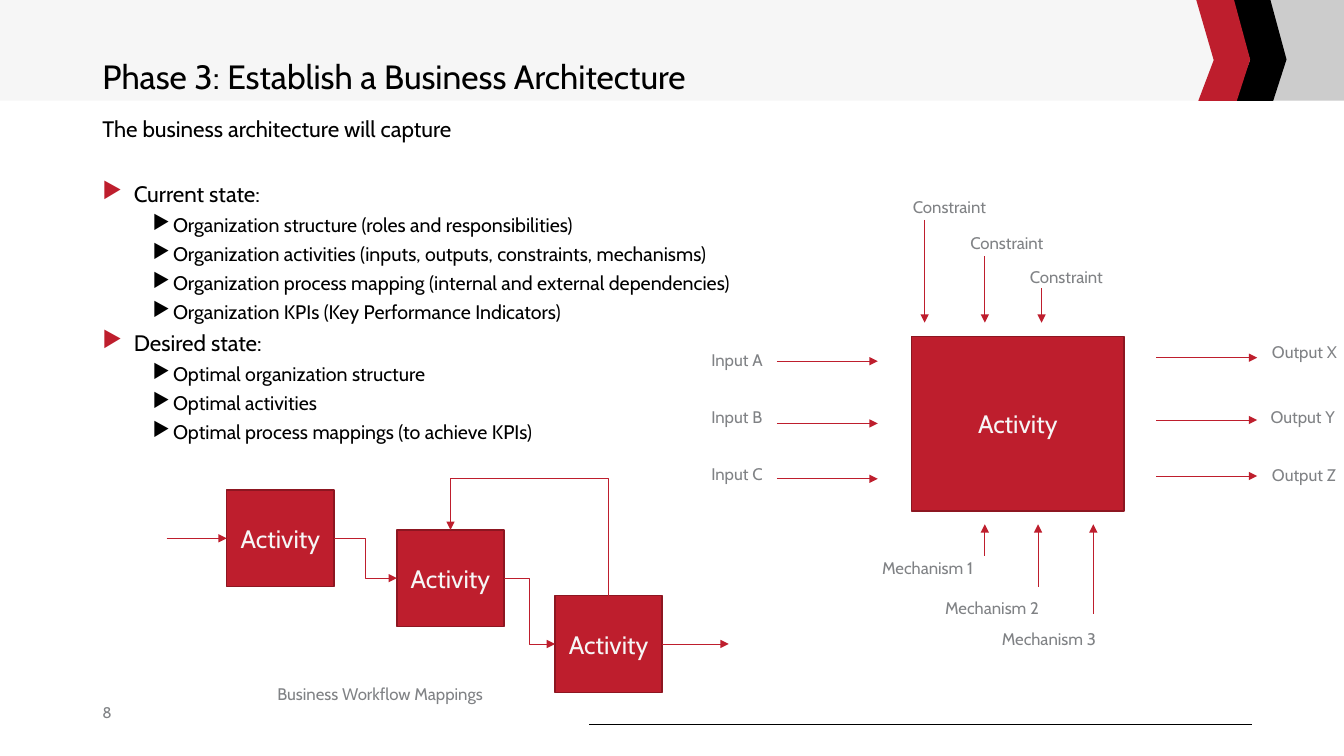
from dataclasses import dataclass

from lxml import etree
from pptx import Presentation
from pptx.dml.color import RGBColor
from pptx.enum.shapes import MSO_CONNECTOR, MSO_SHAPE
from pptx.enum.text import MSO_ANCHOR, MSO_AUTO_SIZE, PP_ALIGN
from pptx.oxml.ns import qn
from pptx.util import Pt

RECTANGLE = MSO_SHAPE.RECTANGLE
STRAIGHT, ELBOW = MSO_CONNECTOR.STRAIGHT, MSO_CONNECTOR.ELBOW
TOP, MIDDLE, BOTTOM = MSO_ANCHOR.TOP, MSO_ANCHOR.MIDDLE, MSO_ANCHOR.BOTTOM
LEFT, CENTER = PP_ALIGN.LEFT, PP_ALIGN.CENTER
NO_AUTOFIT = MSO_AUTO_SIZE.NONE


@dataclass(frozen=True)
class Theme:
    font: str = "Cabin"
    red: str = "BE1E2D"
    dark_red: str = "8D1621"
    black: str = "000000"
    pale: str = "F6F6F6"
    silver: str = "CCCCCC"
    grey: str = "808285"
    title: int = 24
    activity: int = 18
    body: int = 16
    detail: int = 14
    label: int = 12
    number: int = 11


THEME = Theme()

CAPTURED = [
    ("Current state:", [
        "Organization structure (roles and responsibilities)",
        "Organization activities (inputs, outputs, constraints, mechanisms)",
        "Organization process mapping (internal and external dependencies)",
        "Organization KPIs (Key Performance Indicators)",
    ]),
    ("Desired state:", [
        "Optimal organization structure",
        "Optimal activities",
        "Optimal process mappings (to achieve KPIs)",
    ]),
]

# Label, label left, label top, then arrow x and its starting y
CONSTRAINTS = [
    ("Constraint", 645, 137, 660.5, 157),
    ("Constraint", 686, 163, 703.5, 183),
    ("Constraint", 728.5, 187, 744, 206),
]
MECHANISMS = [
    ("Mechanism 1", 623, 395, 703.5, 397),
    ("Mechanism 2", 668, 423.5, 741.5, 419),
    ("Mechanism 3", 708.5, 445.5, 781, 438.5),
]
# Label, label left, label top, then arrow y
INPUTS = [("Input A", 501, 246, 258), ("Input B", 501, 287, 302.5), ("Input C", 501, 328, 342)]
OUTPUTS = [("Output X", 901.5, 240.5, 255.5), ("Output Y", 900.5, 287, 300),
           ("Output Z", 901.5, 328.5, 340)]

STEP_WIDTH, STEP_HEIGHT = 76.5, 69
STEPS = [(162, 350), (283.5, 378.5), (396.5, 425.5)]


def points(*lengths):
    return [Pt(length) for length in lengths]


def style(paragraph, size, color):
    font = paragraph.font
    font.name, font.size = THEME.font, Pt(size)
    font.color.rgb = RGBColor.from_string(color)


def paint(shape, fill, outline=None):
    shape.shadow.inherit = False
    shape.fill.solid()
    shape.fill.fore_color.rgb = RGBColor.from_string(fill)
    if outline:
        shape.line.color.rgb = RGBColor.from_string(outline)
        shape.line.width = Pt(1)
    else:
        shape.line.fill.background()


def add_block(slide, left, top, width, height, fill, outline=None):
    block = slide.shapes.add_shape(RECTANGLE, *points(left, top, width, height))
    paint(block, fill, outline)
    return block


def add_activity(slide, left, top, width, height):
    activity = add_block(slide, left, top, width, height, THEME.red, THEME.dark_red)
    frame = activity.text_frame
    frame.vertical_anchor = MIDDLE
    frame.text = "Activity"
    frame.paragraphs[0].alignment = CENTER
    style(frame.paragraphs[0], THEME.activity, THEME.pale)
    return activity


def add_text(slide, text, left, top, width, height, size, color, anchor=TOP):
    frame = slide.shapes.add_textbox(*points(left, top, width, height)).text_frame
    frame.word_wrap = True
    frame.margin_right = 0
    frame.vertical_anchor = anchor
    frame.text = text
    style(frame.paragraphs[0], size, color)
    return frame


def add_label(slide, text, left, top, width=100):
    add_text(slide, text, left, top, width, 22, THEME.label, THEME.grey)


def add_line(slide, start, end, kind=STRAIGHT, color=THEME.red, width=0.5, arrow=True):
    line = slide.shapes.add_connector(kind, *points(*start, *end))
    line.line.color.rgb = RGBColor.from_string(color)
    line.line.width = Pt(width)
    if arrow:
        etree.SubElement(line.line._get_or_add_ln(), qn("a:tailEnd"), type="triangle")
    etree.SubElement(line.element.spPr, qn("a:effectLst"))
    return line


def add_feedback(slide, start, end, crest):
    """Elbow arrow that rises from start to the crest and drops onto end."""
    (x1, y1), (x2, y2) = start, end
    rise, run = y1 - y2, x1 - x2
    mid_x, mid_y = (x1 + x2) / 2, (y1 + y2) / 2
    # The elbow is laid out sideways, then turned a quarter to the left
    feedback = add_line(slide, (mid_x - rise / 2, mid_y + run / 2),
                        (mid_x + rise / 2, mid_y - run / 2), ELBOW)
    properties = feedback.element.spPr
    properties.find(qn("a:xfrm")).set("rot", str(270 * 60000))
    adjustments = properties.find(qn("a:prstGeom")).get_or_add_avLst()
    bend = round((y1 - crest) / rise * 100000)
    etree.SubElement(adjustments, qn("a:gd"), name="adj1", fmla=f"val {bend}")


def add_bullet(frame, text, size, margin, hanging, color):
    paragraph = frame.add_paragraph()
    paragraph.text = text
    paragraph.space_before, paragraph.space_after = points(1, 3)
    properties = paragraph._p.get_or_add_pPr()
    properties.set("marL", str(Pt(margin)))
    properties.set("indent", str(-Pt(hanging)))
    bullet_color = etree.SubElement(properties, qn("a:buClr"))
    etree.SubElement(bullet_color, qn("a:srgbClr"), val=color)
    etree.SubElement(properties, qn("a:buChar"), char="▶")
    style(paragraph, size, THEME.black)


def add_banner(slide):
    add_block(slide, 0, 0, 891, 72, THEME.pale)
    add_block(slide, 891, 0, 69, 72, THEME.silver)
    for left, color in ((880.5, THEME.black), (854.5, THEME.red)):
        outline = [(left + x, y) for x, y in
                   ((0, 0), (27, 0), (38.5, 42.5), (29, 72), (1.5, 72), (12.5, 43))]
        builder = slide.shapes.build_freeform(*points(*outline[0]))
        builder.add_line_segments([points(*corner) for corner in outline[1:]], close=True)
        paint(builder.convert_to_shape(), color)


def set_title(slide, text):
    title = slide.shapes.title
    title.left, title.top, title.width, title.height = points(66, 0, 786, 72)
    frame = title.text_frame
    frame.text = text
    frame.auto_size = NO_AUTOFIT
    frame.vertical_anchor = BOTTOM
    frame.paragraphs[0].alignment = LEFT
    style(frame.paragraphs[0], THEME.title, THEME.black)
    # Bring the title in front of the banner
    title.element.getparent().append(title.element)


def add_captured_list(slide):
    frame = add_text(slide, "The business architecture will capture",
                     66, 79, 500, 245, THEME.body, THEME.black)
    frame.paragraphs[0].space_before, frame.paragraphs[0].space_after = points(1, 26)
    for state, details in CAPTURED:
        add_bullet(frame, state, THEME.body, 22.5, 22.5, THEME.red)
        for detail in details:
            add_bullet(frame, detail, THEME.detail, 50.5, 14.5, THEME.black)


def add_activity_model(slide):
    add_activity(slide, 651, 240.5, 152, 124.5)
    for arrows, tip in ((CONSTRAINTS, 230.5), (MECHANISMS, 374.5)):
        for text, left, top, x, start in arrows:
            add_line(slide, (x, start), (x, tip))
            add_label(slide, text, left, top)
    for arrows, start, width in ((INPUTS, 555, 100), (OUTPUTS, 826, 58)):
        for text, left, top, y in arrows:
            add_line(slide, (start, y), (start + 72, y))
            add_label(slide, text, left, top, width)


def add_workflow(slide):
    steps = [add_activity(slide, *corner, STEP_WIDTH, STEP_HEIGHT) for corner in STEPS]
    right_sides = [(x + STEP_WIDTH, y + STEP_HEIGHT / 2) for x, y in STEPS]
    left_sides = [(x, y + STEP_HEIGHT / 2) for x, y in STEPS]
    tops = [(x + STEP_WIDTH / 2, y) for x, y in STEPS]
    for i in range(len(steps) - 1):
        handover = add_line(slide, right_sides[i], left_sides[i + 1], ELBOW)
        handover.begin_connect(steps[i], 3)
        handover.end_connect(steps[i + 1], 1)
    add_feedback(slide, tops[2], tops[1], 342)
    add_line(slide, (119, left_sides[0][1]), left_sides[0])
    add_line(slide, right_sides[-1], (520.5, right_sides[-1][1]))
    add_label(slide, "Business Workflow Mappings", 191, 485, 183)


def main():
    deck = Presentation()
    deck.slide_width, deck.slide_height = points(960, 540)
    slide = deck.slides.add_slide(deck.slide_layouts[5])
    add_banner(slide)
    set_title(slide, "Phase 3: Establish a Business Architecture")
    add_captured_list(slide)
    add_activity_model(slide)
    add_workflow(slide)
    # Footer
    add_line(slide, (421, 517), (894, 517), color=THEME.black, width=0.25, arrow=False)
    add_text(slide, "8", 66, 501, 66, 16, THEME.number, THEME.grey, MIDDLE)
    deck.save("out.pptx")


if __name__ == "__main__":
    main()
